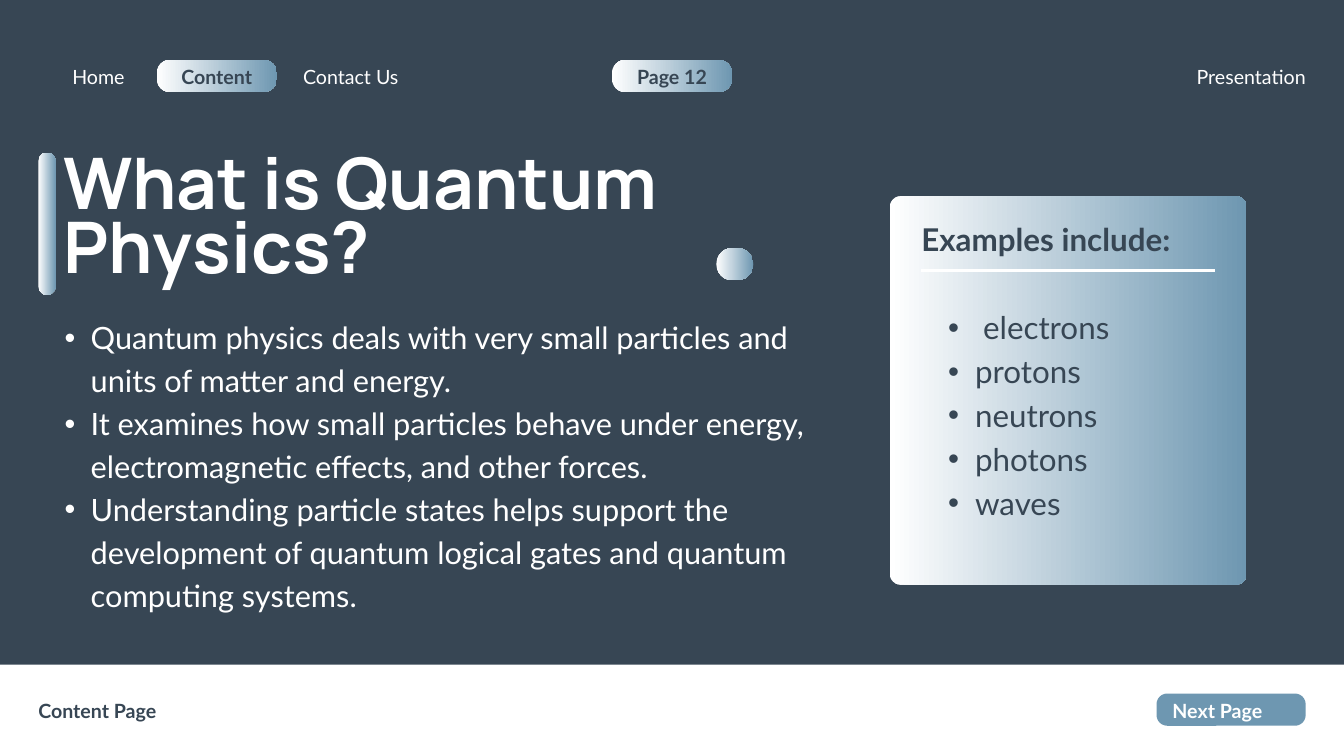
import pptx
import pptx.util
import pptx.dml.color
import pptx.enum.shapes
import pptx.enum.text
import pptx.oxml
import pptx.oxml.ns
from pptx.util import Inches, Pt

NAVY, BLUE, WHITE = "374654", "6E97B1", "FFFFFF"
ALIGN = pptx.enum.text.PP_ALIGN
SHAPE = pptx.enum.shapes.MSO_SHAPE


def rgb(value):
    return pptx.dml.color.RGBColor.from_string(value)


def add_block(slide, x, y, w, h, radius=0, color=None):
    """Add a rectangle with rounded corners; without a color it gets the white to blue gradient."""
    kind = SHAPE.ROUNDED_RECTANGLE if radius else SHAPE.RECTANGLE
    sp = slide.shapes.add_shape(kind, Inches(x), Inches(y), Inches(w), Inches(h))
    if radius:
        sp.adjustments[0] = radius / min(w, h)
    sp.shadow.inherit = False
    sp.line.fill.background()
    if color:
        sp.fill.solid()
        sp.fill.fore_color.rgb = rgb(color)
    else:
        sp.fill.gradient()
        sp.fill.gradient_angle = 0
        for stop, shade in zip(sp.fill.gradient_stops, (WHITE, BLUE)):
            stop.color.rgb = rgb(shade)
    return sp


def add_text(slide, x, y, w, h, lines, size, leading, color,
             font="Lato", bold=False, align=ALIGN.LEFT, indent=0):
    """Add one paragraph per line; a nonzero indent makes them bullets."""
    box = slide.shapes.add_textbox(Inches(x), Inches(y), Inches(w), Inches(h))
    tf = box.text_frame
    tf.word_wrap = True
    tf.margin_left = tf.margin_top = tf.margin_right = tf.margin_bottom = 0
    for i, line in enumerate(lines):
        p = tf.paragraphs[0] if i == 0 else tf.add_paragraph()
        p.text = line
        p.alignment = align
        p.line_spacing = Pt(leading)
        if indent:
            pPr = p._p.get_or_add_pPr()
            pPr.set("marL", str(Inches(2 * indent)))
            pPr.set("indent", str(-Inches(indent)))
            for tag, key, value in (("a:buFont", "typeface", "Arial"), ("a:buChar", "char", "•")):
                bullet = pptx.oxml.parse_xml(f"<{tag} {pptx.oxml.ns.nsdecls('a')}/>")
                bullet.set(key, value)
                pPr.append(bullet)
        for r in p.runs:
            r.font.name = font
            r.font.size = Pt(size)
            r.font.bold = bold
            r.font.color.rgb = rgb(color)
    return box


def add_label(slide, x, y, w, text, color=WHITE, bold=False, align=ALIGN.CENTER):
    add_text(slide, x, y, w, 0.39, [text], 21, 29.4, color, bold=bold, align=align)


def add_pill(slide, x, y, text):
    add_block(slide, x, y, 1.79, 0.48, 0.2)
    add_label(slide, x + 0.25, y + 0.02, 1.29, text, NAVY, True)


def add_navigation(slide, x, y, w):
    add_label(slide, x + 0.25, y + 0.02, 1.29, "Home")
    add_pill(slide, x + 1.76, y, "Content")
    add_label(slide, x + 3.77, y + 0.02, 1.76, "Contact Us")
    add_pill(slide, x + (w - 1.79) / 2, y, "Page 12")
    add_label(slide, x + w - 4.73, y + 0.02, 4.73, "Presentation", align=ALIGN.RIGHT)


def add_title(slide, x, y, w, h, title):
    add_block(slide, x, y, 0.26, h, 0.13)
    add_text(slide, x + 0.37, y + 0.11, w - 0.37, 2.05, [title],
             76.2, 68.5, WHITE, font="Manrope", bold=True)
    add_block(slide, x + 10.09, y + 1.42, 0.55, 0.48, 0.24)


def add_examples_card(slide, x, y, w, h, heading, examples):
    add_block(slide, x, y, w, h, 0.16)
    left = x + 0.47
    rule = slide.shapes.add_connector(
        pptx.enum.shapes.MSO_CONNECTOR.STRAIGHT,
        Inches(left), Inches(y + 1.1), Inches(x + w - 0.47), Inches(y + 1.1))
    rule.line.color.rgb = rgb(WHITE)
    rule.line.width = Pt(3)
    rule._element.spPr.append(
        pptx.oxml.parse_xml(f"<a:effectLst {pptx.oxml.ns.nsdecls('a')}/>"))
    add_text(slide, left, y + 0.27, 4.59, 0.65, [heading], 33.6, 47, NAVY, bold=True)
    add_text(slide, left, y + 1.58, 4.59, 3.26, examples, 33.6, 47, NAVY, indent=0.4)


def add_footer(slide, x, y, w, h):
    add_block(slide, x, y, w, h, color=WHITE)
    add_label(slide, x + 0.57, y + 0.45, 2.27, "Content Page", NAVY, True, ALIGN.LEFT)
    add_block(slide, x + w - 2.79, y + 0.43, 2.22, 0.48, 0.16, BLUE)
    add_label(slide, x + w - 2.63, y + 0.45, 1.49, "Next Page", bold=True)


def main():
    prs = pptx.Presentation()
    prs.slide_width, prs.slide_height = Inches(20), Inches(11.25)
    slide = prs.slides.add_slide(prs.slide_layouts[6])
    slide.background.fill.solid()
    slide.background.fill.fore_color.rgb = rgb(NAVY)

    add_navigation(slide, 0.57, 0.89, 18.86)
    add_title(slide, 0.57, 2.27, 9.98, 2.12, "What is Quantum Physics?")
    add_text(slide, 0.57, 4.66, 11.82, 4.44, [
        "Quantum physics deals with very small particles and units of matter and energy.",
        "It examines how small particles behave under energy, electromagnetic effects, "
        "and other forces.",
        "Understanding particle states helps support the development of quantum logical "
        "gates and quantum computing systems.",
    ], 32.9, 46, WHITE, indent=0.39)
    add_examples_card(slide, 13.24, 2.92, 5.31, 5.78, "Examples include:",
                      [" electrons", "protons", "neutrons", "photons", "waves"])
    add_footer(slide, 0, 9.89, 20, 1.36)
    prs.save("out.pptx")


if __name__ == "__main__":
    main()
